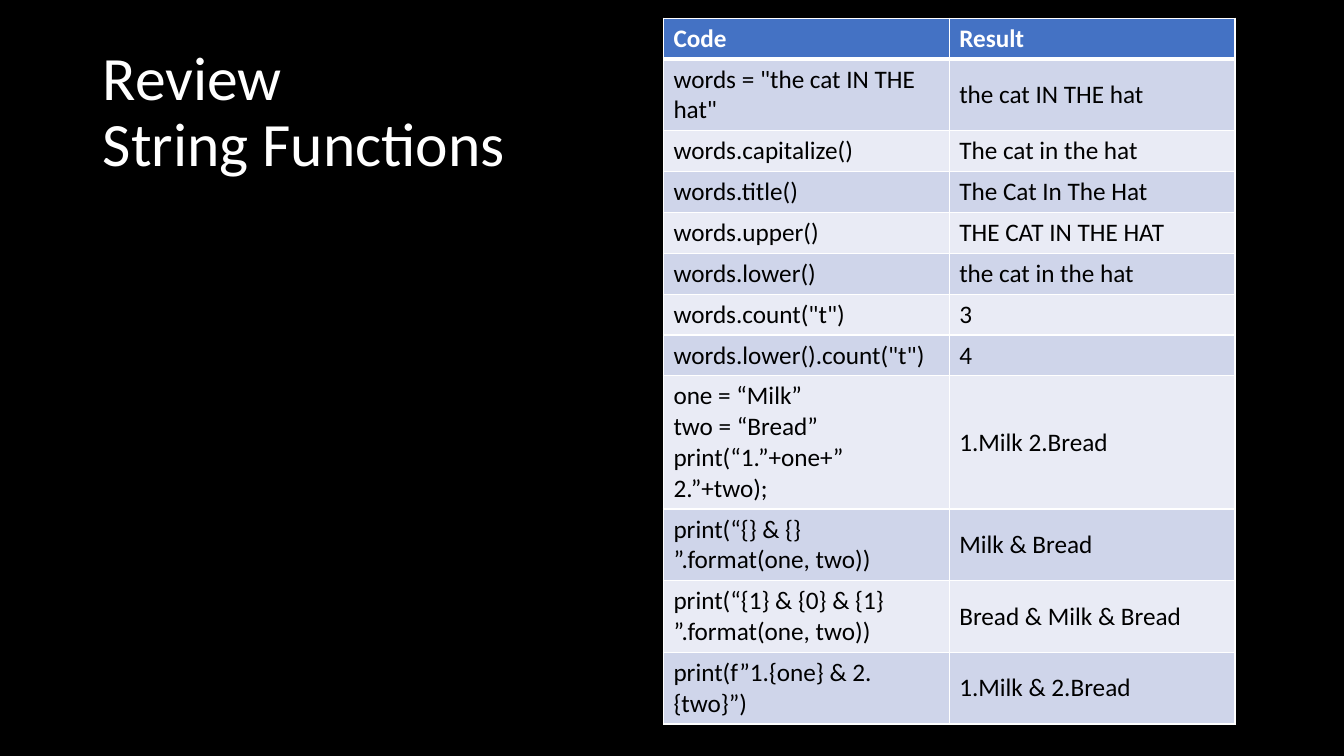
"""Build a review slide about string functions."""
from dataclasses import dataclass

from lxml.etree import SubElement
from pptx import Presentation
from pptx.dml.color import RGBColor
from pptx.enum.text import MSO_ANCHOR as Anchor, PP_ALIGN as Align
from pptx.oxml.ns import qn
from pptx.util import Inches, Pt

COLORS = {
    "background": "000000",
    "light": "FFFFFF",
    "dark": "000000",
    "header": "4472C4",
    "odd": "CFD5EA",
    "even": "E9EBF5",
}
TITLE_FONT = {"name": "Calibri", "size": Pt(44), "bold": False}
HEADER_FONT = {"name": "Calibri", "size": Pt(18), "bold": True}
BODY_FONT = HEADER_FONT | {"bold": False}
TITLE_BOX = {
    "left": Inches(0.92),
    "top": Inches(0.4),
    "width": Inches(11.5),
    "height": Inches(1.45),
}
TITLE_PARA = {"alignment": Align.LEFT, "line_spacing": 0.9}


@dataclass(frozen=True)
class Example:
    """A piece of code and its result."""

    code: str
    result: str


EXAMPLES = [
    Example('words = "the cat IN THE hat"', "the cat IN THE hat"),
    Example("words.capitalize()", "The cat in the hat"),
    Example("words.title()", "The Cat In The Hat"),
    Example("words.upper()", "THE CAT IN THE HAT"),
    Example("words.lower()", "the cat in the hat"),
    Example('words.count("t")', "3"),
    Example('words.lower().count("t")', "4"),
    Example(
        "one = “Milk”\ntwo = “Bread”\nprint(“1.”+one+” 2.”+two);",
        "1.Milk 2.Bread",
    ),
    Example("print(“{} & {} ”.format(one, two))", "Milk & Bread"),
    Example("print(“{1} & {0} & {1} ”.format(one, two))", "Bread & Milk & Bread"),
    Example("print(f”1.{one} & 2.{two}”)", "1.Milk & 2.Bread"),
]


def apply(target, values: dict) -> None:
    """Set each named value on the target."""
    for name, value in values.items():
        setattr(target, name, value)


def paint(fill, color: str) -> None:
    """Fill with a solid named colour."""
    fill.solid()
    fill.fore_color.rgb = RGBColor.from_string(COLORS[color])


def style_text(frame, font: dict, color: str) -> None:
    """Format every span in a text frame."""
    for para in frame.paragraphs:
        for span in para.runs:
            apply(span.font, font)
            span.font.color.rgb = RGBColor.from_string(COLORS[color])


def add_borders(cell, widths: dict[str, int]) -> None:
    """Draw the light borders of a cell."""
    properties = cell._tc.get_or_add_tcPr()
    for side, width in widths.items():
        line = SubElement(properties, qn(f"a:ln{side}"), w=str(Pt(width)))
        solid = SubElement(line, qn("a:solidFill"))
        SubElement(solid, qn("a:srgbClr"), val=COLORS["light"])


def add_title(page, text: str) -> None:
    """Place the slide title."""
    box = page.shapes.title
    apply(box, TITLE_BOX)
    frame = box.text_frame
    frame.vertical_anchor = Anchor.MIDDLE
    para = frame.paragraphs[0]
    para.text = text
    apply(para, TITLE_PARA)
    style_text(frame, TITLE_FONT, "light")


def add_examples(page, examples: list[Example]) -> None:
    """Place the table of code and results."""
    rows = [Example("Code", "Result"), *examples]
    row_height = Inches(0.4)
    table = page.shapes.add_table(
        len(rows), 2, Inches(6.58), Inches(0.18), Inches(5.67), row_height * len(rows)
    ).table
    for index, example in enumerate(rows):
        is_header = index == 0
        fill = "header" if is_header else "odd" if index % 2 else "even"
        font = HEADER_FONT if is_header else BODY_FONT
        color = "light" if is_header else "dark"
        top, bottom = 3 if index == 1 else 1, 3 if is_header else 1
        for column, text in enumerate((example.code, example.result)):
            cell = table.cell(index, column)
            cell.text = text
            cell.vertical_anchor = Anchor.MIDDLE
            add_borders(cell, {"L": 1, "R": 1, "T": top, "B": bottom})
            paint(cell.fill, fill)
            style_text(cell.text_frame, font, color)


def main() -> None:
    """Build and save the deck."""
    deck = Presentation()
    apply(deck, {"slide_width": Inches(13.33), "slide_height": Inches(7.5)})
    page = deck.slides.add_slide(deck.slide_layouts[5])
    paint(page.background.fill, "background")
    add_title(page, "Review\nString Functions")
    add_examples(page, EXAMPLES)
    deck.save("out.pptx")


if __name__ == "__main__":
    main()
